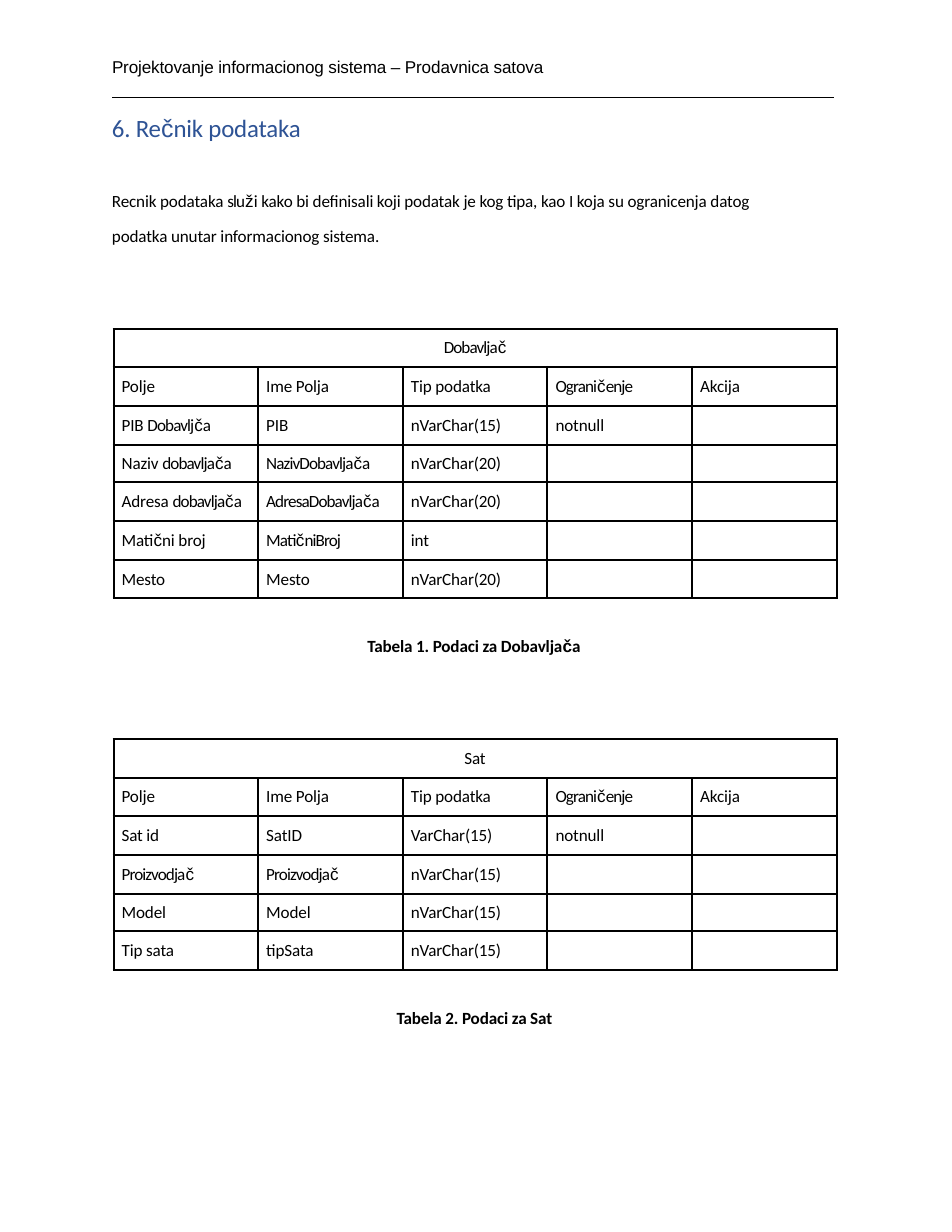
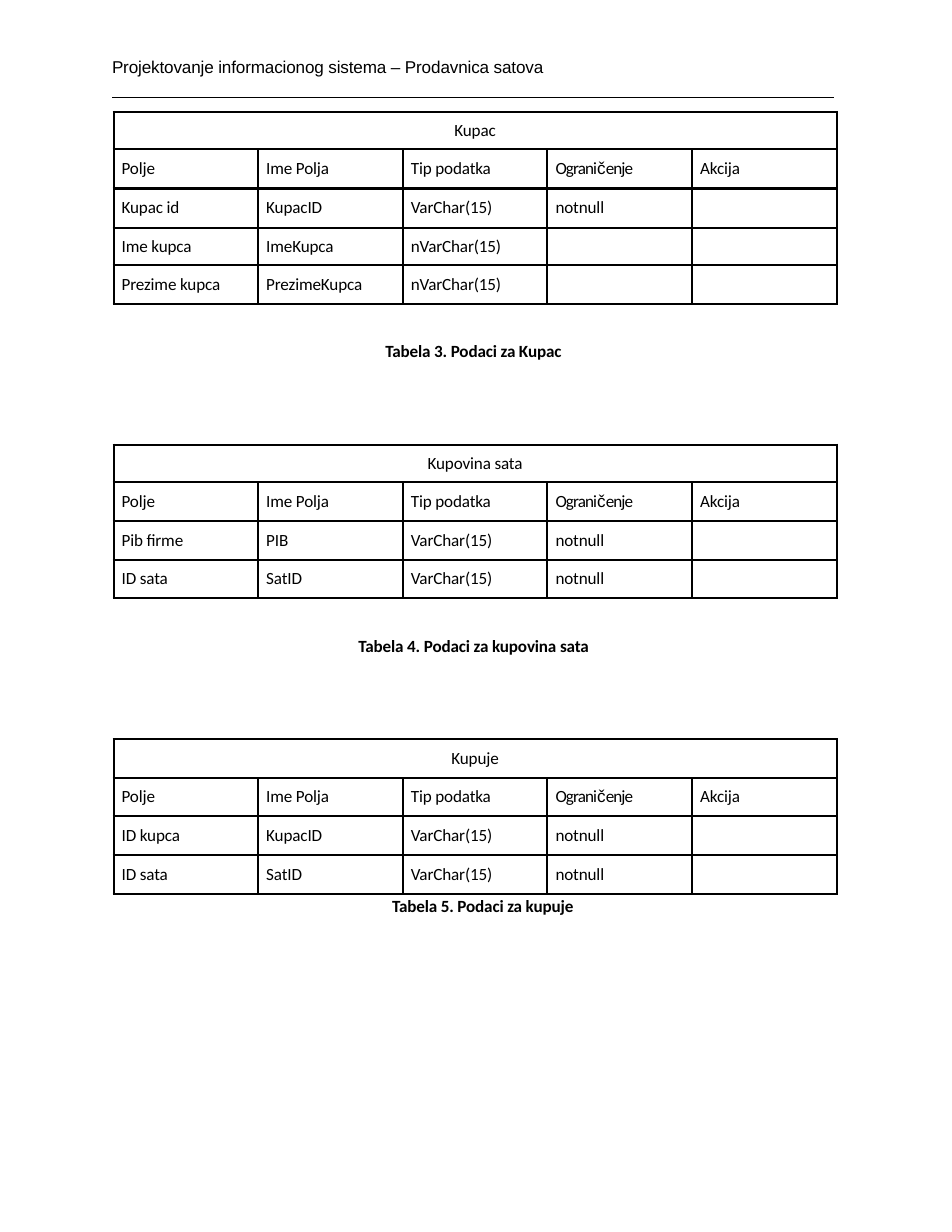
from dataclasses import dataclass
from itertools import cycle, groupby, islice

from lxml import etree
from pptx import Presentation
from pptx.dml.color import RGBColor
from pptx.enum import shapes, text
from pptx.oxml import ns
from pptx.util import Pt


@dataclass(frozen=True)
class Theme:
    ink: RGBColor = RGBColor(0x00, 0x00, 0x00)
    heading_color: RGBColor = RGBColor(0x2E, 0x53, 0x95)
    body_font: str = "Calibri"
    header_font: str = "Arial"
    accent_font: str = "Arial"  # sets the letters č and ž
    body_size: float = 11
    heading_size: float = 16
    rule_width: float = 0.69
    border_width: float = 1.5
    spacing: float = -0.1
    tight_spacing: float = -0.6


THEME = Theme()

# Page grid, in points
PAGE_WIDTH, PAGE_HEIGHT = 612, 792
MARGIN = 72
RULE_END, RULE_TOP = 536.4, 62.6
TABLE_LEFT, COLUMN_WIDTH = 73, 93
ROW_HEIGHTS = (24.1, 25.1, 25.1)
CELL_INDENT = 5.2
LINE_BOX_HEIGHT = 15

HEADER = "Projektovanje informacionog sistema – Prodavnica satova"
HEADING = "6. Rečnik podataka"
INTRO = ("Recnik podataka služi kako bi definisali koji podatak je kog tipa, "
         "kao I koja su ogranicenja datog podatka unutar informacionog sistema.")
COLUMNS = ("Polje", "Ime Polja", "Tip podatka", "Ograničenje", "Akcija")
LOOSE_LABELS = {"Matični broj"}


@dataclass(frozen=True)
class Entity:
    name: str
    top: float
    first_height: int  # where the row height cycle starts
    fields: tuple
    caption: str
    caption_box: tuple  # left, top, width


SUPPLIER = Entity("Dobavljač", 211.7, 0, (
    ("PIB Dobavljča", "PIB", "nVarChar(15)", "notnull"),
    ("Naziv dobavljača", "NazivDobavljača", "nVarChar(20)"),
    ("Adresa dobavljača", "AdresaDobavljača", "nVarChar(20)"),
    ("Matični broj", "MatičniBroj", "int"),
    ("Mesto", "Mesto", "nVarChar(20)"),
), "Tabela 1. Podaci za Dobavljača", (235.4, 406.8, 142))

WATCH = Entity("Sat", 475.2, 2, (
    ("Sat id", "SatID", "VarChar(15)", "notnull"),
    ("Proizvodjač", "Proizvodjač", "nVarChar(15)"),
    ("Model", "Model", "nVarChar(15)"),
    ("Tip sata", "tipSata", "nVarChar(15)"),
), "Tabela 2. Podaci za Sat", (254.2, 645.8, 104.4))

BUYER = Entity("Kupac", 72, 0, (
    ("Kupac id", "KupacID", "VarChar(15)", "notnull"),
    ("Ime kupca", "ImeKupca", "nVarChar(15)"),
    ("Prezime kupca", "PrezimeKupca", "nVarChar(15)"),
), "Tabela 3. Podaci za Kupac", (247, 217.4, 117.4))

PURCHASE = Entity("Kupovina sata", 285.8, 0, (
    ("Pib firme", "PIB", "VarChar(15)", "notnull"),
    ("ID sata", "SatID", "VarChar(15)", "notnull"),
), "Tabela 4. Podaci za kupovina sata", (229.7, 406.8, 153.4))

BUYS = Entity("Kupuje", 475.2, 2, (
    ("ID kupca", "KupacID", "VarChar(15)", "notnull"),
    ("ID sata", "SatID", "VarChar(15)", "notnull"),
), "Tabela 5. Podaci za kupuje", (251.3, 573.8, 121))


# Text
def letter_styles(content, font, tight):
    """Yield (letter, font, spacing); words with č or ž may be set tighter."""
    for word in content.split(" "):
        narrow = tight and any(letter in "čž" for letter in word)
        spacing = THEME.tight_spacing if narrow else THEME.spacing
        for letter in word:
            yield letter, THEME.accent_font if letter in "čž" else font, spacing
        yield " ", font, THEME.spacing


def write(paragraph, content, font=THEME.body_font, size=THEME.body_size,
          color=THEME.ink, bold=False, tight=False):
    letters = list(letter_styles(content, font, tight))[:-1]
    for (face, spacing), group in groupby(letters, key=lambda item: item[1:]):
        run = paragraph.add_run()
        run.text = "".join(item[0] for item in group)
        run.font.name = face
        run.font.size = Pt(size)
        run.font.bold = bold
        run.font.color.rgb = color
        run._r.get_or_add_rPr().set("spc", str(round(spacing * 100)))


def add_text_box(slide, left, top, width, height):
    text_frame = slide.shapes.add_textbox(
        Pt(left), Pt(top), Pt(width), Pt(height)).text_frame
    text_frame.word_wrap = True
    text_frame.margin_left = text_frame.margin_right = text_frame.margin_bottom = 0
    text_frame.margin_top = Pt(1.7)
    return text_frame


def add_header(slide):
    text_frame = add_text_box(slide, MARGIN, 34.6, 284, LINE_BOX_HEIGHT)
    write(text_frame.paragraphs[0], HEADER, font=THEME.header_font)
    rule = slide.shapes.add_connector(
        shapes.MSO_CONNECTOR.STRAIGHT,
        Pt(MARGIN), Pt(RULE_TOP), Pt(RULE_END), Pt(RULE_TOP))
    rule.line.color.rgb = THEME.ink
    rule.line.width = Pt(THEME.rule_width)
    etree.SubElement(rule._element.spPr, ns.qn("a:effectLst"))


def add_introduction(slide):
    text_frame = add_text_box(slide, MARGIN, 71, 421, 88)
    write(text_frame.paragraphs[0], HEADING, size=THEME.heading_size,
          color=THEME.heading_color)
    paragraph = text_frame.add_paragraph()
    paragraph.space_before = Pt(21.5)
    paragraph.line_spacing = 1.7
    write(paragraph, INTRO, tight=True)


# Tables
def set_borders(cell):
    properties = cell._tc.get_or_add_tcPr()
    for side in ("lnL", "lnR", "lnT", "lnB"):
        line = etree.SubElement(properties, ns.qn(f"a:{side}"),
                                w=str(Pt(THEME.border_width)))
        fill = etree.SubElement(line, ns.qn("a:solidFill"))
        etree.SubElement(fill, ns.qn("a:srgbClr"), val=str(THEME.ink))


def format_cell(cell):
    set_borders(cell)
    cell.fill.background()
    cell.margin_left = cell.margin_right = cell.margin_top = cell.margin_bottom = 0
    cell.vertical_anchor = text.MSO_ANCHOR.MIDDLE


def add_entity(slide, entity):
    rows = ((entity.name,), COLUMNS, *entity.fields)
    start = entity.first_height
    heights = list(islice(cycle(ROW_HEIGHTS), start, start + len(rows)))
    table = slide.shapes.add_table(
        len(rows), len(COLUMNS), Pt(TABLE_LEFT), Pt(entity.top),
        Pt(COLUMN_WIDTH * len(COLUMNS)), Pt(sum(heights))).table
    table.first_row = table.horz_banding = False
    for column in table.columns:
        column.width = Pt(COLUMN_WIDTH)
    for row, height in zip(table.rows, heights):
        row.height = Pt(height)
        for cell in row.cells:
            format_cell(cell)

    # The entity name spans the first row
    title = table.cell(0, 0)
    title.merge(table.cell(0, len(COLUMNS) - 1))
    title.text_frame.paragraphs[0].alignment = text.PP_ALIGN.CENTER
    for row_index, values in enumerate(rows):
        for column_index, value in enumerate(values):
            cell = table.cell(row_index, column_index)
            if row_index:
                cell.margin_left = Pt(CELL_INDENT)
            write(cell.text_frame.paragraphs[0], value,
                  tight=value not in LOOSE_LABELS)

    caption = add_text_box(slide, *entity.caption_box, LINE_BOX_HEIGHT)
    caption.margin_left = Pt(0.7)
    write(caption.paragraphs[0], entity.caption, bold=True)


def add_page(presentation, entities):
    slide = presentation.slides.add_slide(presentation.slide_layouts[6])
    add_header(slide)
    for entity in entities:
        add_entity(slide, entity)
    return slide


def main():
    presentation = Presentation()
    presentation.slide_width = Pt(PAGE_WIDTH)
    presentation.slide_height = Pt(PAGE_HEIGHT)
    first_page = add_page(presentation, (SUPPLIER, WATCH))
    add_introduction(first_page)
    add_page(presentation, (BUYER, PURCHASE, BUYS))
    presentation.save("out.pptx")


if __name__ == "__main__":
    main()
